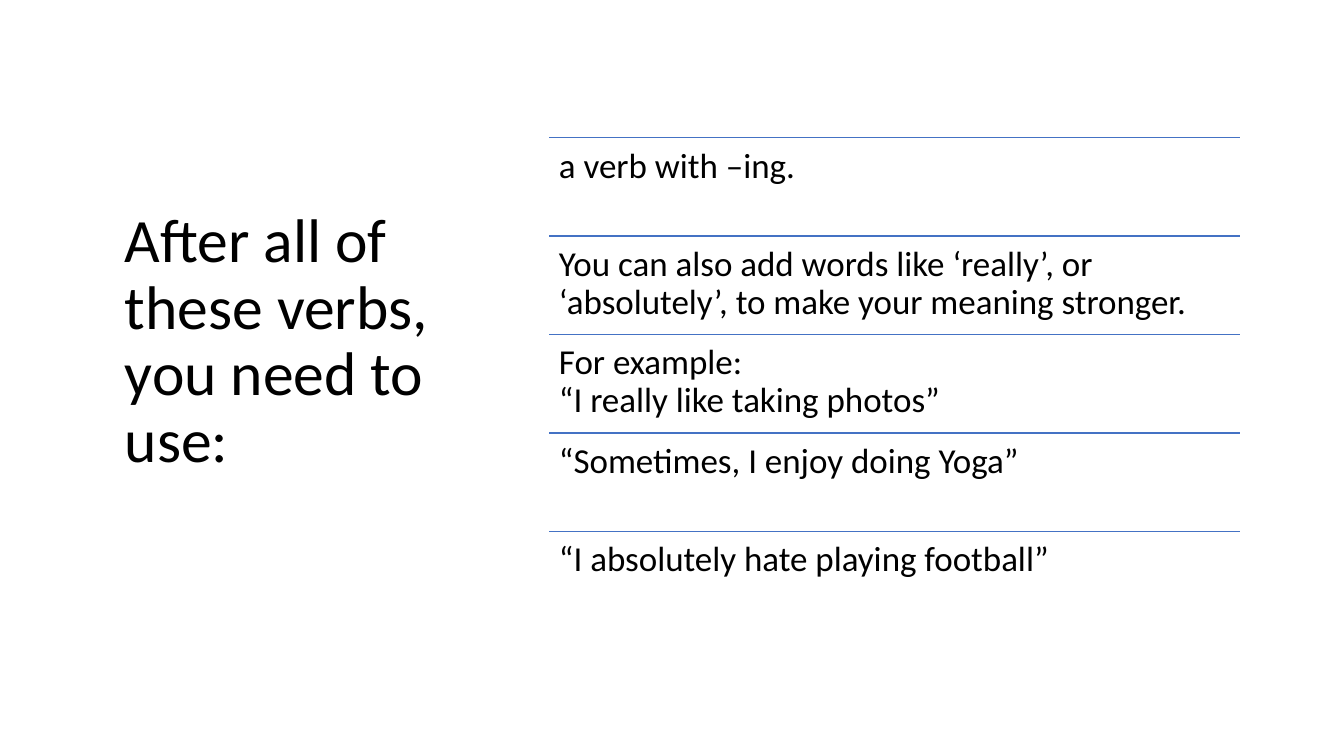
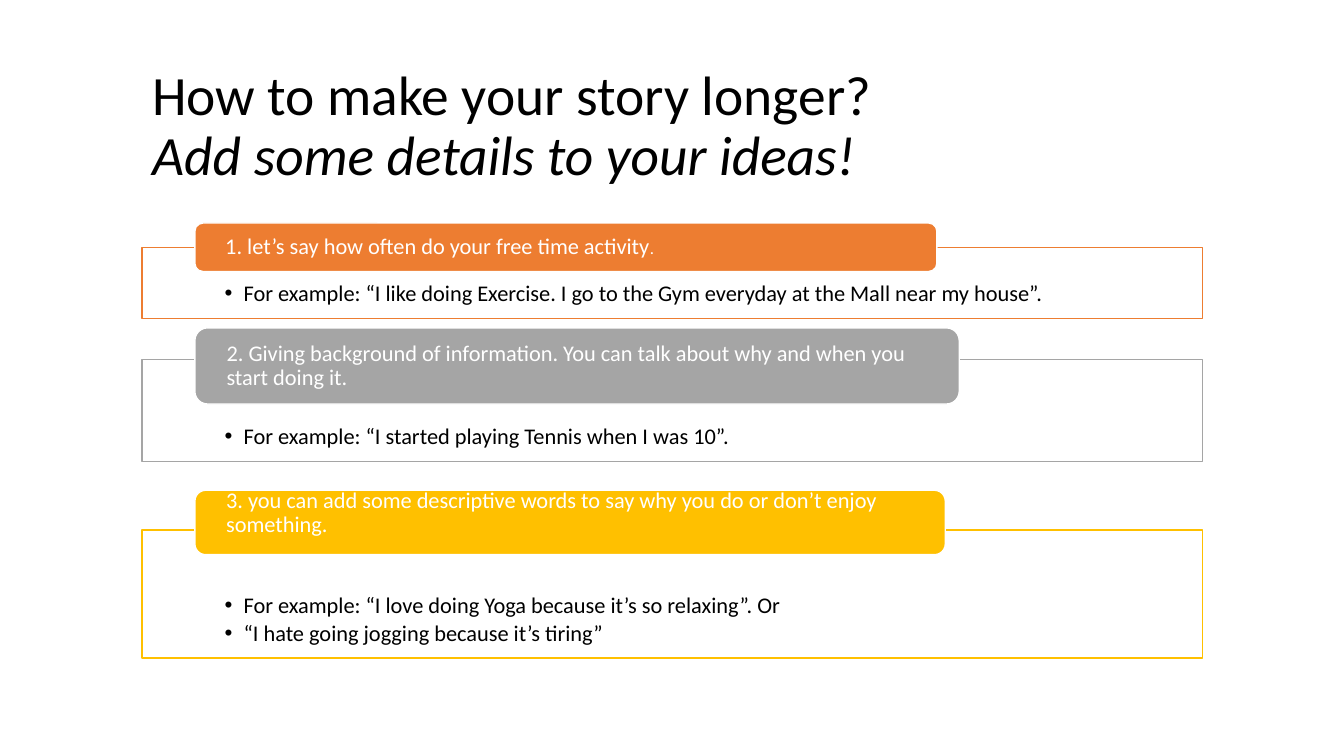
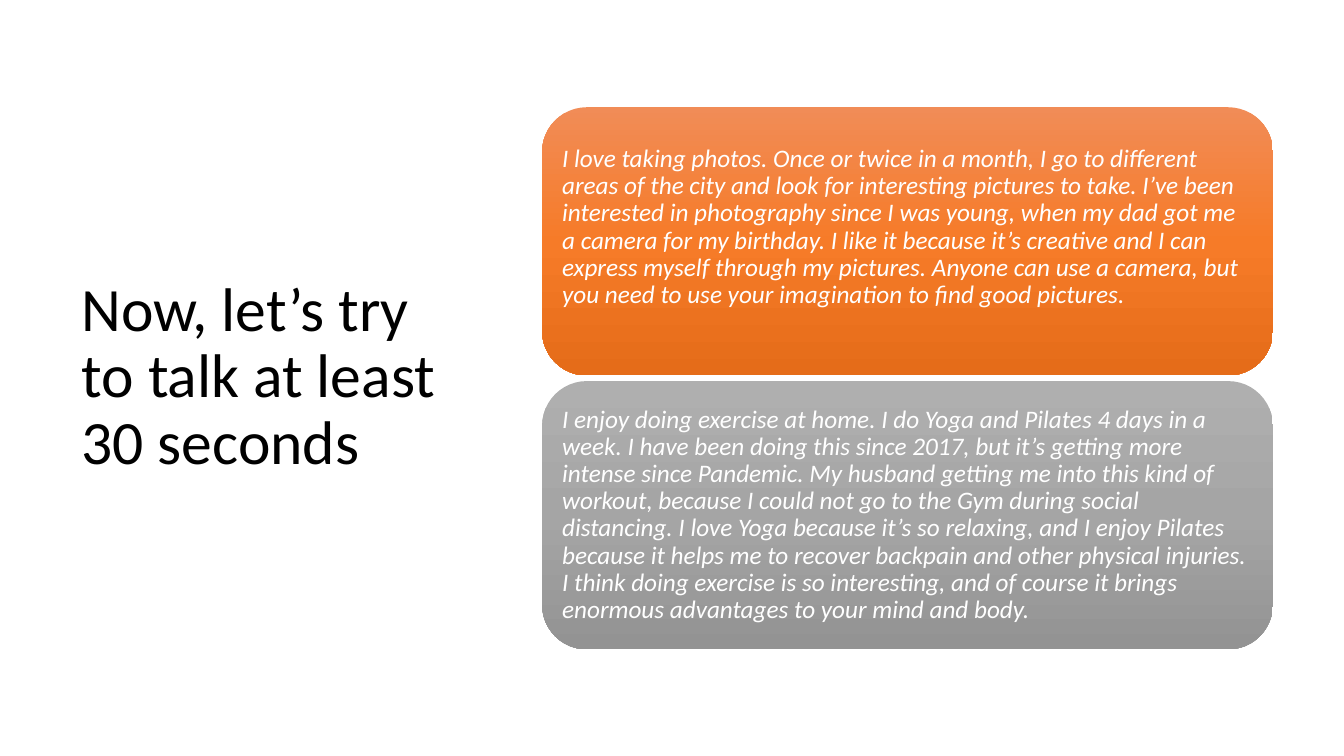
"""Build three slides on talking about free time activities."""
from copy import deepcopy

from lxml import etree
from pptx import Presentation
from pptx.dml.color import RGBColor
from pptx.enum.shapes import MSO_CONNECTOR, MSO_SHAPE
from pptx.enum.text import MSO_ANCHOR, MSO_AUTO_SIZE, PP_ALIGN
from pptx.oxml.ns import qn
from pptx.util import Pt

LEFT = PP_ALIGN.LEFT
TOP, MIDDLE, BOTTOM = MSO_ANCHOR.TOP, MSO_ANCHOR.MIDDLE, MSO_ANCHOR.BOTTOM
NO_FIT = MSO_AUTO_SIZE.NONE
RECT, ROUNDED = MSO_SHAPE.RECTANGLE, MSO_SHAPE.ROUNDED_RECTANGLE
STRAIGHT = MSO_CONNECTOR.STRAIGHT
TITLE_ONLY = 5
BREAK = "\n"

COLORS = {
    "text": "000000", "white": "FFFFFF", "rule": "4472C4",
    "orange": "ED7D31", "gray": "A5A5A5", "gold": "FFC000",
}
GRADIENTS = {
    "orange": ("F18C57", "F67B28", "E56C19"),
    "gray": ("AFAFAF", "A5A5A5", "939393"),
}


def rgb(name):
    return RGBColor.from_string(COLORS[name])


class Deck:
    FONT = "Calibri"
    LINE_SPACING = 0.9

    def __init__(self):
        self.prs = Presentation()
        self.prs.slide_width, self.prs.slide_height = Pt(960), Pt(540)
        self.slide = None

    def new_slide(self):
        self.slide = self.prs.slides.add_slide(self.prs.slide_layouts[TITLE_ONLY])

    def set_text(self, frame, paragraphs, size, color, insets, anchor, italic=False, bullet=False):
        frame.word_wrap = True
        frame.auto_size = NO_FIT
        frame.vertical_anchor = anchor
        (frame.margin_left, frame.margin_top,
         frame.margin_right, frame.margin_bottom) = map(Pt, insets)
        for index, pieces in enumerate(paragraphs):
            paragraph = frame.add_paragraph() if index else frame.paragraphs[0]
            if bullet:
                self.add_bullet(paragraph)
            paragraph.alignment = LEFT
            paragraph.line_spacing = self.LINE_SPACING
            paragraph.space_before = Pt(2.4 if index else 0)
            for piece in pieces:
                if piece == BREAK:
                    paragraph.add_line_break()
                    continue
                text, changes = piece if isinstance(piece, tuple) else (piece, {})
                run = paragraph.add_run()
                run.text = text
                run.font.name = self.FONT
                run.font.size = Pt(changes.get("size", size))
                run.font.italic = changes.get("italic", italic)
                run.font.color.rgb = rgb(color)

    def add_bullet(self, paragraph):
        properties = paragraph._p.get_or_add_pPr()
        properties.set("marL", str(Pt(13.5)))
        properties.set("indent", str(Pt(-13.5)))
        etree.SubElement(properties, qn("a:buFont")).set("typeface", "Arial")
        etree.SubElement(properties, qn("a:buChar")).set("char", "•")

    def title(self, box, pieces, size=44, bottom=3.6):
        title = self.slide.shapes.title
        title.left, title.top, title.width, title.height = map(Pt, box)
        self.set_text(title.text_frame, [pieces], size, "text", (7.2, 3.6, 7.2, bottom), MIDDLE)

    def rule(self, left, top, width):
        rule = self.slide.shapes.add_connector(
            STRAIGHT, Pt(left), Pt(top), Pt(left + width), Pt(top))
        rule.line.color.rgb = rgb("rule")
        rule.line.width = Pt(1)
        etree.SubElement(rule._element.spPr, qn("a:effectLst"))

    def entry(self, box, pieces):
        entry = self.slide.shapes.add_textbox(*map(Pt, box))
        self.set_text(entry.text_frame, [pieces], 25, "text", (7.2,) * 4, TOP)

    def shape(self, kind, box):
        shape = self.slide.shapes.add_shape(kind, *map(Pt, box))
        shape.shadow.inherit = False
        return shape

    def outlined(self, kind, box, fill, line):
        shape = self.shape(kind, box)
        shape.fill.solid()
        shape.fill.fore_color.rgb = rgb(fill)
        shape.line.color.rgb = rgb(line)
        shape.line.width = Pt(1)
        return shape.text_frame

    def panel(self, box, color, examples):
        frame = self.outlined(RECT, box, "white", color)
        self.set_text(frame, examples, 16, "text", (59, 0, 59, 8.6), BOTTOM, bullet=True)

    def heading(self, box, color, pieces, bottom=0):
        frame = self.outlined(ROUNDED, box, color, "white")
        self.set_text(frame, [pieces], 16, "white", (20, 0, 20, bottom), MIDDLE)

    def card(self, box, color, text, bottom=5):
        card = self.shape(ROUNDED, box)
        card.line.fill.background()
        card.fill.gradient()
        card.fill.gradient_angle = 270
        stops = card._element.spPr.find(qn("a:gradFill")).find(qn("a:gsLst"))
        stops.append(deepcopy(stops[-1]))
        for stop, position, shade in zip(card.fill.gradient_stops, (0, 0.5, 1), GRADIENTS[color]):
            stop.position = position
            stop.color.rgb = RGBColor.from_string(shade)
        self.set_text(card.text_frame, [[text]], 18, "white", (5, 5, 5, bottom), MIDDLE, italic=True)


def verbs_slide(deck):
    deck.new_slide()
    deck.title((82, 93, 260, 351), ["After all of these verbs, you need to use:"], bottom=51.6)
    entries = [
        ["a verb with –ing."],
        ["You can also add words like ‘really’, or ‘absolutely’, to make your meaning stronger."],
        ["For example: ", BREAK, "“I really like taking photos”"],
        ["“Sometimes, I enjoy doing Yoga”"],
        ["“I absolutely hate playing football”"],
    ]
    left, top, width, step = 392.2, 98.4, 493.6, 70.3
    for index, pieces in enumerate(entries):
        entry_top = top + index * step
        deck.rule(left, entry_top, width)
        deck.entry((left, entry_top, width, step), pieces)


def details_slide(deck):
    deck.new_slide()
    deck.title(
        (101.5, 48, 803, 86.4),
        ["How to make your story longer?", BREAK,
         ("Add some details to your ideas!", {"italic": True})],
        size=39.6)
    steps = [
        ("orange", (176.6, 51.1), (159.3, 530, 34.6), 0,
         ["1. let’s say how often do your free time activity", (".", {"size": 12})],
         [["For example: “I like doing Exercise. I go to the Gym everyday at the Mall near my house”."]]),
        ("gray", (257, 72.7), (234.2, 546, 54.4), 0,
         ["2. Giving background of information. You can talk about why and when you start doing it."],
         [["For example: “I started playing Tennis when I was 10”."]]),
        ("gold", (378.7, 91.4), (350.2, 536, 46), 13,
         ["3. you can add some descriptive words to say why you do or don’t enjoy something."],
         [["For example: “I love doing Yoga because it’s so relaxing”. Or"],
          ["“I hate going jogging because it’s tiring”"]]),
    ]
    for color, (top, height), (heading_top, width, heading_height), bottom, advice, examples in steps:
        deck.panel((101.5, top, 757.5, height), color, examples)
        deck.heading((139.2, heading_top, width, heading_height), color, advice, bottom)


def talk_slide(deck):
    deck.new_slide()
    deck.title((51.1, 108.7, 279.4, 322.6), ["Now, let’s try to talk at least 30 seconds"])
    stories = [
        ("orange", 25,
         "I love taking photos. Once or twice in a month, I go to different areas of the city "
         "and look for interesting pictures to take. I’ve been interested in photography since "
         "I was young, when my dad got me a camera for my birthday. I like it because it’s "
         "creative and I can express myself through my pictures. Anyone can use a camera, but "
         "you need to use your imagination to find good pictures."),
        ("gray", 5,
         "I enjoy doing exercise at home. I do Yoga and Pilates 4 days in a week. I have been "
         "doing this since 2017, but it’s getting more intense since Pandemic. My husband "
         "getting me into this kind of workout, because I could not go to the Gym during social "
         "distancing. I love Yoga because it’s so relaxing, and I enjoy Pilates because it helps "
         "me to recover backpain and other physical injuries. I think doing exercise is so "
         "interesting, and of course it brings enormous advantages to your mind and body."),
    ]
    height, gap = 191.6, 4
    for index, (color, bottom, story) in enumerate(stories):
        deck.card((387.2, 76.6 + index * (height + gap), 522, height), color, story, bottom)


def main():
    deck = Deck()
    verbs_slide(deck)
    details_slide(deck)
    talk_slide(deck)
    deck.prs.save("out.pptx")


if __name__ == "__main__":
    main()
